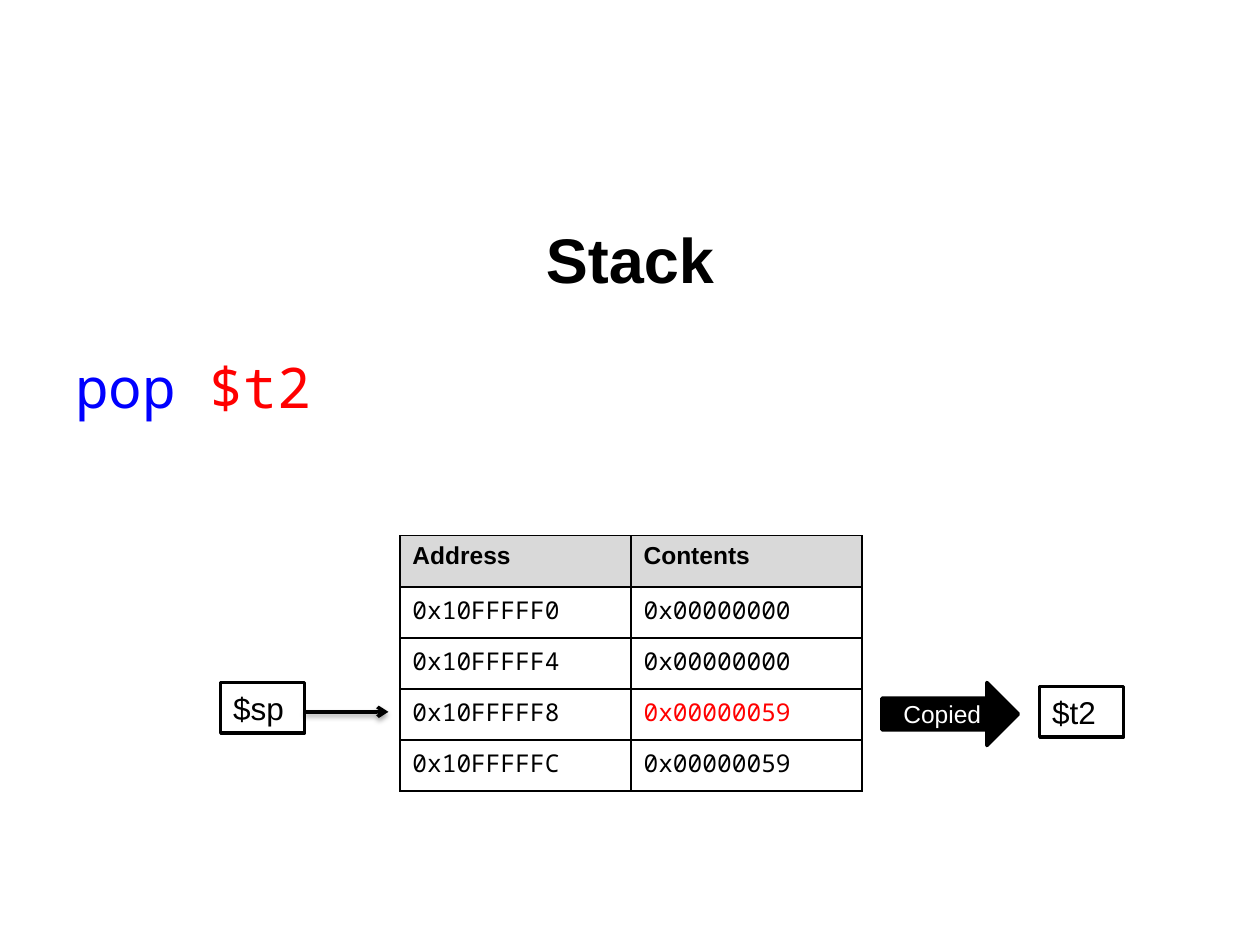
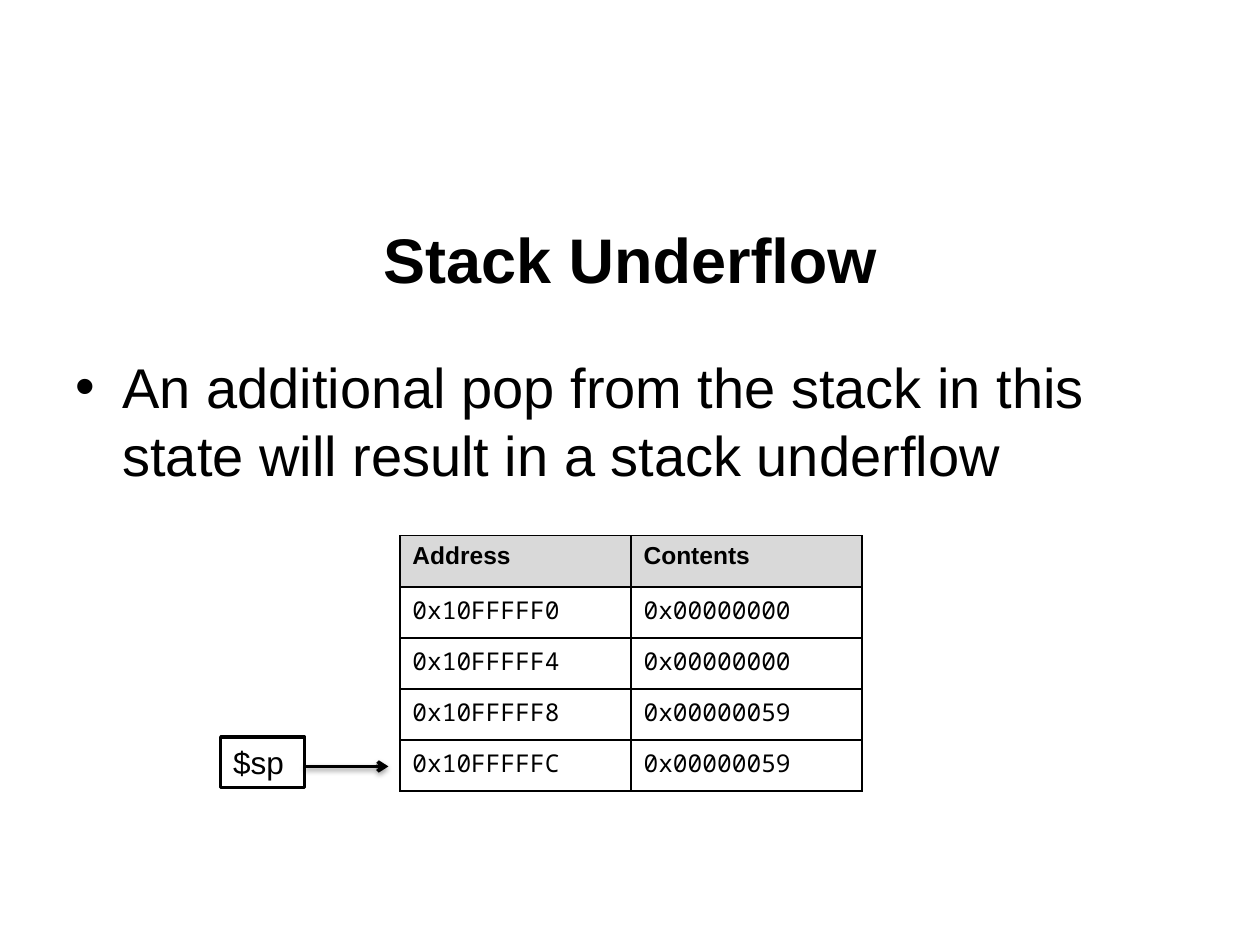
from dataclasses import dataclass
from lxml.etree import SubElement
from pptx import Presentation
from pptx.dml.color import RGBColor
from pptx.enum.shapes import MSO_CONNECTOR, MSO_SHAPE
from pptx.enum.text import MSO_ANCHOR, PP_ALIGN
from pptx.oxml import parse_xml
from pptx.oxml.ns import nsdecls, qn
from pptx.util import Cm, Pt


@dataclass(frozen=True)
class Theme:
    sans: str = "Arial"
    mono: str = "Noto Sans Mono"
    black: str = "000000"
    white: str = "FFFFFF"
    grey: str = "D9D9D9"
    red: str = "FF0000"
    blue: str = "0000FF"
    title: int = 36
    body: int = 32
    label: int = 18
    small: int = 14
    line: int = 2


T = Theme()
HEADER = ("Address", "Contents")
MEMORY = [
    ("0x10FFFFF0", "0x00000000"),
    ("0x10FFFFF4", "0x00000000"),
    ("0x10FFFFF8", "0x00000059"),
    ("0x10FFFFFC", "0x00000059"),
]
SLIDES = [
    {
        "title": "Stack",
        "body": [("pop ", T.mono, T.blue), ("$t2", T.mono, T.red)],
        "bullet": False,
        "pointer_top": 13.76,
        "popped_row": 2,
        "target": "$t2",
    },
    {
        "title": "Stack Underflow",
        "body": [("An additional pop from the stack in this state will result in a stack underflow",
                  T.sans, T.black)],
        "bullet": True,
        "pointer_top": 14.86,
        "popped_row": None,
        "target": None,
    },
]
LEFT, WIDTH = 1.27, 22.86
TABLE_LEFT, TABLE_TOP, COL_W, ROW_H = 8.06, 10.8, 4.66, 1.03
BOX_W, BOX_H = 1.69, 1.02


def box(*lengths):
    return [Cm(n) for n in lengths]


def add_run(p, text, size, font=T.sans, color=T.black, bold=False):
    r = p.add_run()
    r.text = text
    r.font.name, r.font.size, r.font.bold = font, Pt(size), bold
    r.font.color.rgb = RGBColor.from_string(color)


def add_title(s, text):
    sp = s.shapes.title
    sp.left, sp.top, sp.width, sp.height = box(LEFT, 3.61, WIDTH, 3.18)
    tf = sp.text_frame
    tf.vertical_anchor = MSO_ANCHOR.MIDDLE
    p = tf.paragraphs[0]
    p.alignment = PP_ALIGN.CENTER
    add_run(p, text, T.title, bold=True)


def add_body(s, runs, bullet):
    tf = s.shapes.add_textbox(*box(LEFT, 6.99, WIDTH, 3.38)).text_frame
    tf.word_wrap = True
    p = tf.paragraphs[0]
    p.space_before = Pt(T.body * 0.2)
    pPr = p._p.get_or_add_pPr()
    pPr.set("marL", str(Cm(0.95)))
    pPr.set("indent", str(-Cm(0.95)))
    if bullet:
        SubElement(pPr, qn("a:buFont"), typeface=T.sans)
        SubElement(pPr, qn("a:buChar"), char="•")
    else:
        SubElement(pPr, qn("a:buNone"))
    for text, font, color in runs:
        add_run(p, text, T.body, font, color)


def style_cell(cell, fill):
    if fill:
        cell.fill.solid()
        cell.fill.fore_color.rgb = RGBColor.from_string(fill)
    else:
        cell.fill.background()
    tcPr = cell._tc.get_or_add_tcPr()
    for i, side in enumerate("LRTB"):
        tcPr.insert(i, parse_xml(
            f'<a:ln{side} {nsdecls("a")} w="{Pt(1)}"><a:solidFill>'
            f'<a:srgbClr val="{T.black}"/></a:solidFill></a:ln{side}>'))


def add_memory(s, popped_row):
    rows = [HEADER, *MEMORY]
    table = s.shapes.add_table(len(rows), len(HEADER), *box(
        TABLE_LEFT, TABLE_TOP, COL_W * len(HEADER), ROW_H * len(rows))).table
    for col in table.columns:
        col.width = Cm(COL_W)
    for i, row in enumerate(rows):
        table.rows[i].height = Cm(ROW_H)
        for j, text in enumerate(row):
            cell = table.cell(i, j)
            head = i == 0
            popped = j == 1 and i - 1 == popped_row
            style_cell(cell, T.grey if head else None)
            add_run(cell.text_frame.paragraphs[0], text, T.small,
                    T.sans if head else T.mono, T.red if popped else T.black, head)


def add_shape(s, kind, place, text, size, fill=None, color=T.black):
    sp = s.shapes.add_shape(kind, *box(*place))
    sp.shadow.inherit = False
    if fill:
        sp.fill.solid()
        sp.fill.fore_color.rgb = RGBColor.from_string(fill)
    else:
        sp.fill.background()
    sp.line.color.rgb = RGBColor.from_string(T.black)
    sp.line.width = Pt(T.line)
    tf = sp.text_frame
    tf.vertical_anchor = MSO_ANCHOR.MIDDLE if fill else MSO_ANCHOR.TOP
    p = tf.paragraphs[0]
    p.alignment = PP_ALIGN.CENTER if fill else PP_ALIGN.LEFT
    add_run(p, text, size, color=color)


def add_pointer(s, top):
    left = 4.45
    add_shape(s, MSO_SHAPE.RECTANGLE, (left, top, BOX_W, BOX_H), "$sp", T.label)
    start, y = left + BOX_W, top + 0.59
    cx = s.shapes.add_connector(MSO_CONNECTOR.STRAIGHT, *box(start, y, start + BOX_W, y))
    cx.line.color.rgb = RGBColor.from_string(T.black)
    cx.line.width = Pt(T.line)
    SubElement(cx.line._get_or_add_ln(), qn("a:tailEnd"), type="arrow")
    cx._element.spPr.append(parse_xml(
        f'<a:effectLst {nsdecls("a")}><a:outerShdw blurRad="{Pt(3.1)}" dist="{Pt(1.6)}" '
        f'dir="5400000" rotWithShape="0"><a:srgbClr val="{T.black}"><a:alpha val="38000"/>'
        f'</a:srgbClr></a:outerShdw></a:effectLst>'))


def add_copy_target(s, register):
    add_shape(s, MSO_SHAPE.RECTANGLE, (20.96, 13.84, BOX_W, BOX_H), register, T.label)
    add_shape(s, MSO_SHAPE.RIGHT_ARROW, (17.78, 13.76, 2.75, 1.27), "Copied", T.small,
              T.black, T.white)


def main():
    """Build the two stack slides and save them."""
    prs = Presentation()
    prs.slide_width, prs.slide_height = box(25.4, 19.05)
    for content in SLIDES:
        s = prs.slides.add_slide(prs.slide_layouts[5])
        add_title(s, content["title"])
        add_memory(s, content["popped_row"])
        add_pointer(s, content["pointer_top"])
        add_body(s, content["body"], content["bullet"])
        if content["target"]:
            add_copy_target(s, content["target"])
    prs.save("out.pptx")


if __name__ == "__main__":
    main()
